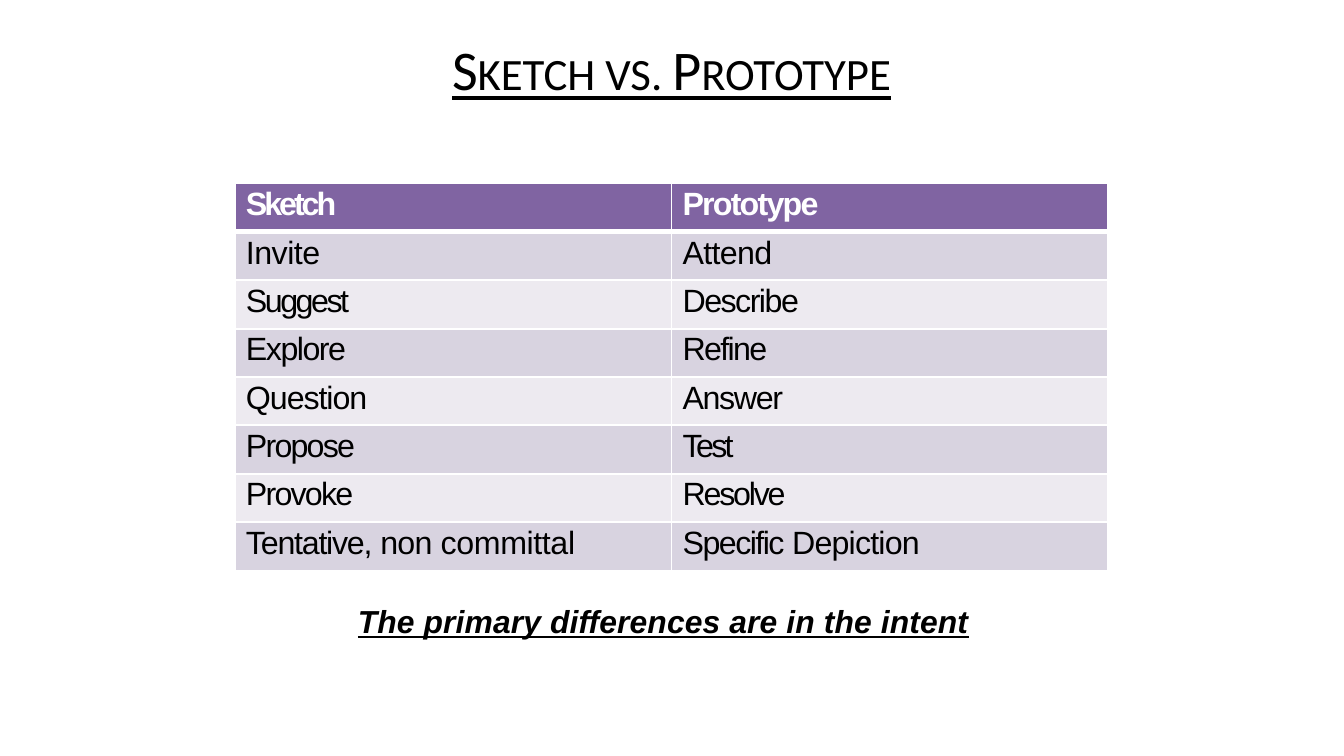
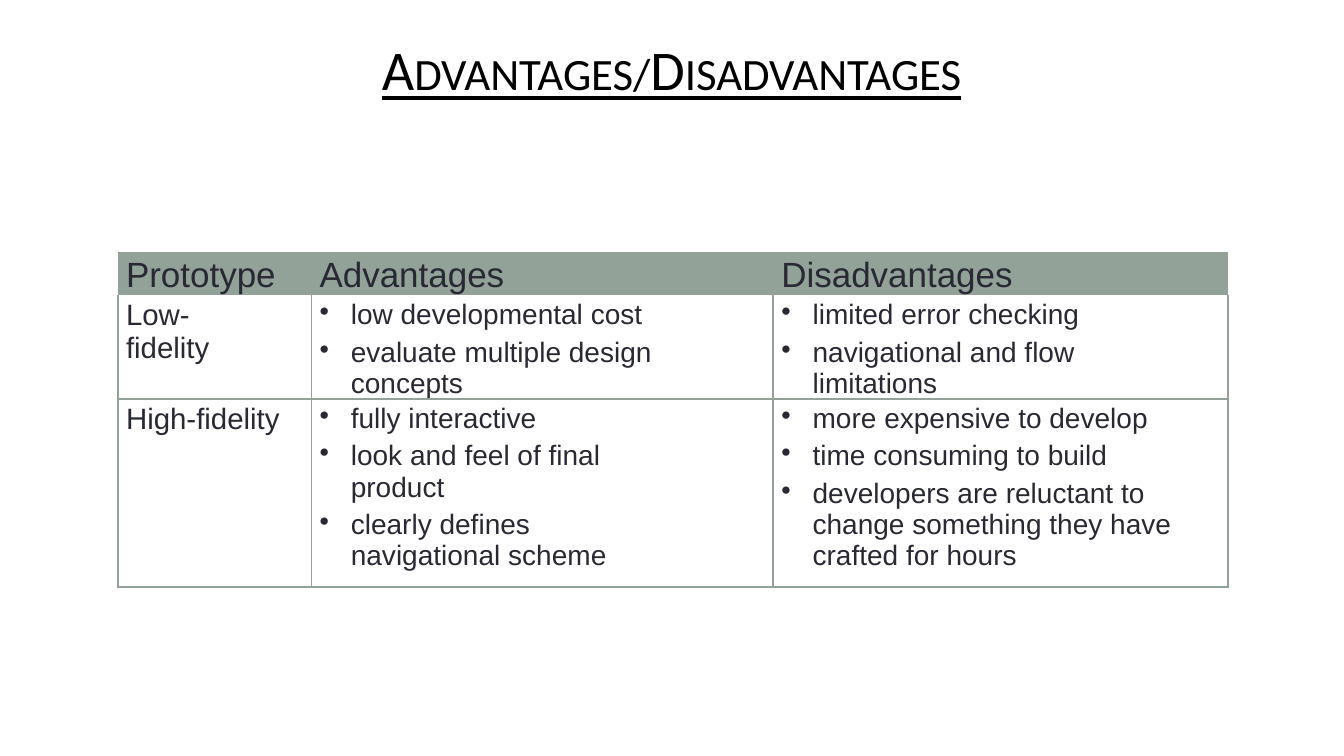
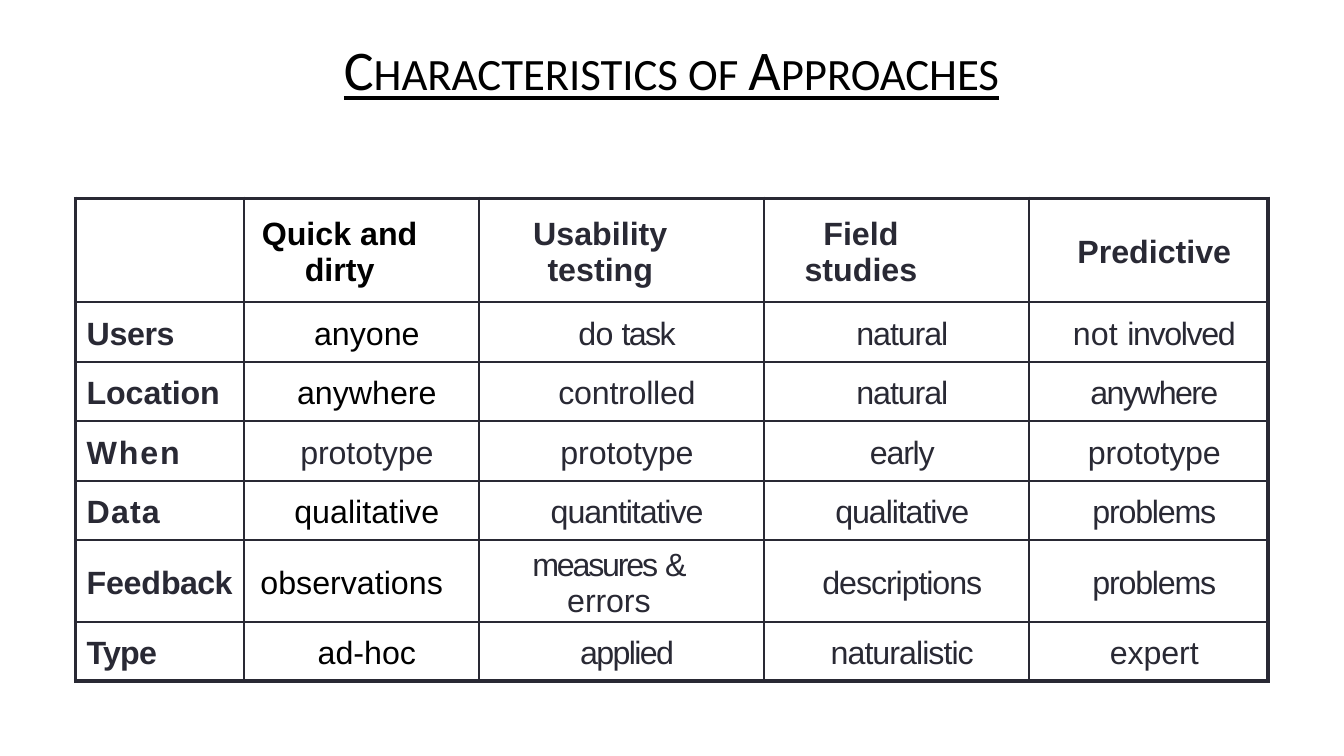
from dataclasses import dataclass

from lxml.etree import SubElement
from pptx import Presentation
from pptx.dml.color import RGBColor
from pptx.enum.text import MSO_ANCHOR as Anchor, MSO_AUTO_SIZE as AutoSize, PP_ALIGN as Align
from pptx.oxml.ns import qn
from pptx.util import Inches, Pt

BLACK = RGBColor(0x00, 0x00, 0x00)
WHITE = RGBColor(0xFF, 0xFF, 0xFF)
INK = RGBColor(0x29, 0x29, 0x34)
PURPLE = RGBColor(0x80, 0x64, 0xA2)
LILAC = RGBColor(0xD8, 0xD3, 0xE0)
PALE_LILAC = RGBColor(0xED, 0xEA, 0xF0)
SAGE = RGBColor(0x93, 0xA2, 0x99)

THIN, THICK, HEADER_RULE = 1.5, 3, 4.25
TITLE_ONLY = 5


@dataclass(frozen=True)
class Part:
    """A stretch of text with its letter spacing in points."""
    text: str
    spacing: float = 0


@dataclass(frozen=True)
class Entry:
    """The paragraphs of one table cell and the room kept at its right."""
    paragraphs: tuple[tuple[Part, ...], ...]
    right: float = 0
    bulleted: bool = False


@dataclass(frozen=True)
class Edges:
    """Border widths of a cell in points, where 0 means no line."""
    left: float = THIN
    right: float = THIN
    top: float = THIN
    bottom: float = THIN


def line(*parts, right=0):
    """Return an entry of one paragraph from (text, spacing) pairs."""
    return Entry((tuple(Part(*part) for part in parts),), right)


def bullets(*items, right):
    """Return an entry with one bulleted paragraph per item."""
    return Entry(tuple((Part(item),) for item in items), right, True)


def write(paragraph, parts, *, size, color=BLACK, font="Arial", bold=False, italic=False,
          underline=False, small_caps=False, align=Align.LEFT, before=0) -> None:
    """Write the parts into a paragraph with one format."""
    paragraph.alignment = align
    paragraph.space_before = Pt(before)
    for part in parts:
        run = paragraph.add_run()
        run.text = part.text
        run.font.name, run.font.size = font, Pt(size)
        run.font.bold, run.font.italic, run.font.underline = bold, italic, underline
        run.font.color.rgb = color
        properties = run._r.get_or_add_rPr()
        if part.spacing:
            properties.set("spc", str(round(part.spacing * 100)))
        if small_caps:
            properties.set("cap", "small")


def add_bullet(paragraph) -> None:
    """Give a paragraph a hanging bullet."""
    properties = paragraph._p.get_or_add_pPr()
    properties.set("marL", str(Inches(0.31)))
    properties.set("indent", str(-Inches(0.31)))
    SubElement(properties, qn("a:buChar")).set("char", "•")


def add_borders(cell, edges: Edges, color: RGBColor) -> None:
    """Draw the four borders of a cell."""
    properties = cell._tc.get_or_add_tcPr()
    widths = {"L": edges.left, "R": edges.right, "T": edges.top, "B": edges.bottom}
    for side, width in widths.items():
        border = SubElement(properties, qn(f"a:ln{side}"))
        border.set("w", str(Pt(width)))
        if width:
            fill = SubElement(border, qn("a:solidFill"))
            SubElement(fill, qn("a:srgbClr")).set("val", str(color))
        else:
            SubElement(border, qn("a:noFill"))


def fill_cell(cell, entry, *, indent, top, edges, border, fill=None,
              anchor=Anchor.TOP, **text_format) -> None:
    """Write an entry into a cell and set its borders, fill and margins."""
    cell.margin_left, cell.margin_top = Inches(indent), Inches(top)
    cell.margin_right, cell.margin_bottom = Inches(entry.right if entry else 0), 0
    cell.vertical_anchor = anchor
    add_borders(cell, edges, border)
    if fill is None:
        cell.fill.background()
    else:
        cell.fill.solid()
        cell.fill.fore_color.rgb = fill
    if entry is None:
        return
    frame = cell.text_frame
    for number, parts in enumerate(entry.paragraphs):
        paragraph = frame.add_paragraph() if number else frame.paragraphs[0]
        if entry.bulleted:
            add_bullet(paragraph)
        write(paragraph, parts, before=4.4 if number else 0, **text_format)


def add_grid(slide, left: float, top: float, widths: list[float], heights: list[float]):
    """Add a plain table with the given column widths and row heights."""
    table = slide.shapes.add_table(len(heights), len(widths), Inches(left), Inches(top),
                                   Inches(sum(widths)), Inches(sum(heights))).table
    table.first_row = table.horz_banding = False
    for column, width in zip(table.columns, widths):
        column.width = Inches(width)
    for row, height in zip(table.rows, heights):
        row.height = Inches(height)
    return table


def add_titled_slide(deck, title: str):
    """Add a slide with the shared underlined small-caps title."""
    slide = deck.slides.add_slide(deck.slide_layouts[TITLE_ONLY])
    heading = slide.shapes.title
    heading.left, heading.top = Inches(1.74), Inches(0.29)
    heading.width, heading.height = Inches(9.84), Inches(0.85)
    frame = heading.text_frame
    frame.auto_size, frame.vertical_anchor = AutoSize.NONE, Anchor.MIDDLE
    frame.paragraphs[0].line_spacing = 0.9
    write(frame.paragraphs[0], [Part(title)], size=40, font="Calibri",
          underline=True, small_caps=True, align=Align.CENTER)
    return slide


def add_sketch_slide(deck) -> None:
    """Build the comparison of sketch and prototype."""
    slide = add_titled_slide(deck, "Sketch vs. Prototype")
    contrasts = [
        (line(("Sketch", -2.2)), line(("Prototype", -1.3))),
        (line(("Invite", -0.4)), line(("Attend", -0.5))),
        (line(("Suggest", -1.8)), line(("Describe", -1.1))),
        (line(("Explore", -1.1)), line(("Refine", -1.2))),
        (line(("Question", -0.8)), line(("Answer", -1))),
        (line(("Propose", -1.3)), line(("Test", -1.9))),
        (line(("Provoke", -1.3)), line(("Resolve", -1.6))),
        (line(("Tentative, ", -0.9), ("non ", -0.6), ("committal", -0.3)),
         line(("Specific ", -1.1), ("Depiction", -0.6))),
    ]
    table = add_grid(slide, 2.33, 1.82, [4.33] * 2, [0.48] * len(contrasts))
    for row, pair in enumerate(contrasts):
        header = row == 0
        band = LILAC if row % 2 else PALE_LILAC
        edges = Edges(top=HEADER_RULE if row == 1 else THIN,
                      bottom=HEADER_RULE if header else THIN)
        for column, entry in enumerate(pair):
            fill_cell(table.cell(row, column), entry, indent=0.11, top=0.03, edges=edges,
                      border=WHITE, fill=PURPLE if header else band, size=23,
                      color=WHITE if header else BLACK, bold=header)

    conclusion = slide.shapes.add_textbox(Inches(3.55), Inches(5.95), Inches(6.2), Inches(0.4))
    frame = conclusion.text_frame
    frame.word_wrap = True
    frame.margin_left = frame.margin_right = frame.margin_bottom = 0
    frame.margin_top = Inches(0.02)
    write(frame.paragraphs[0], [Part("The primary differences are in the intent", 0.12)],
          size=22.7, bold=True, italic=True, underline=True)


def add_fidelity_slide(deck) -> None:
    """Build the table of advantages and disadvantages."""
    slide = add_titled_slide(deck, "Advantages/Disadvantages")
    fidelities = [
        (line(("Prototype",)), line(("Advantages",)), line(("Disadvantages",))),
        (line(("Low-fidelity",), right=0.7),
         bullets("low developmental cost", "evaluate multiple design concepts", right=1),
         bullets("limited error checking", "navigational and flow limitations", right=0.4)),
        (line(("High-fidelity",)),
         bullets("fully interactive", "look and feel of final product",
                 "clearly defines navigational scheme", right=1),
         bullets("more expensive to develop", "time consuming to build",
                 "developers are reluctant to change something they have crafted for hours",
                 right=0.4)),
    ]
    table = add_grid(slide, 1.17, 2.5, [1.92, 4.58, 4.51], [0.43, 1.03, 1.86])
    row_edges = [Edges(0, 0, 0, 0), Edges(top=0), Edges()]
    for row, entries in enumerate(fidelities):
        for column, entry in enumerate(entries):
            size = 25 if row == 0 else 20 if column else 21
            fill_cell(table.cell(row, column), entry, indent=0.08, top=0.04,
                      edges=row_edges[row], border=SAGE, fill=None if row else SAGE,
                      size=size, color=INK)


def add_approaches_slide(deck) -> None:
    """Build the grid of evaluation approaches."""
    slide = add_titled_slide(deck, "Characteristics of Approaches")
    approaches = [
        (None, line(("Quick and dirty",), right=0.54), line(("Usability testing",), right=0.53),
         line(("Field studies",), right=0.82), line(("Predictive",))),
        (line(("Users", -0.3)), line(("anyone",)), line(("do ", -0.5), ("task", -1.2)),
         line(("natural", -0.8)), line(("not ", 0.1), ("involved", -1))),
        (line(("Location", -0.1)), line(("anywhere",)), line(("controlled", -0.2)),
         line(("natural", -0.8)), line(("anywhere", -1.2))),
        (line(("When", 1.3)), line(("prototype", -0.1)), line(("prototype", -0.1)),
         line(("early", -0.9)), line(("prototype", -0.1))),
        (line(("Data", 0.8)), line(("qualitative",)), line(("quantitative", -0.8)),
         line(("qualitative", -0.8)), line(("problems", -0.9))),
        (line(("Feed", -0.2), ("back", -0.5)), line(("observations",), right=0.3),
         line(("measures ", -1.6), ("& ", -0.8), ("errors", -0.1), right=0.36),
         line(("descriptions", -0.8)), line(("problems", -0.9))),
        (line(("Type", -0.6)), line(("ad-hoc",)), line(("applied", -1.2)),
         line(("naturalistic", -0.7)), line(("expert", -0.1))),
    ]
    widths = [1.67, 2.33, 2.83, 2.63, 2.37]
    table = add_grid(slide, 0.75, 1.97, widths, [1.03, 0.59, 0.59, 0.59, 0.59, 0.81, 0.59])
    last_row, last_column = len(approaches) - 1, len(widths) - 1
    when_row = 3
    for row, entries in enumerate(approaches):
        for column, entry in enumerate(entries):
            edges = Edges(left=THIN if column else THICK,
                          right=THICK if column == last_column else THIN,
                          top=THIN if row else THICK,
                          bottom=THICK if row == last_row else THIN)
            fill_cell(table.cell(row, column), entry, indent=0.11, top=0.04, edges=edges,
                      border=INK, anchor=Anchor.MIDDLE, size=23,
                      color=BLACK if column == 1 and row != when_row else INK,
                      bold=row == 0 or column == 0,
                      align=Align.CENTER if column else Align.LEFT)


def main() -> None:
    """Build and save the presentation."""
    deck = Presentation()
    deck.slide_width, deck.slide_height = Inches(13.33), Inches(7.5)
    add_sketch_slide(deck)
    add_fidelity_slide(deck)
    add_approaches_slide(deck)
    deck.save("out.pptx")


if __name__ == "__main__":
    main()
